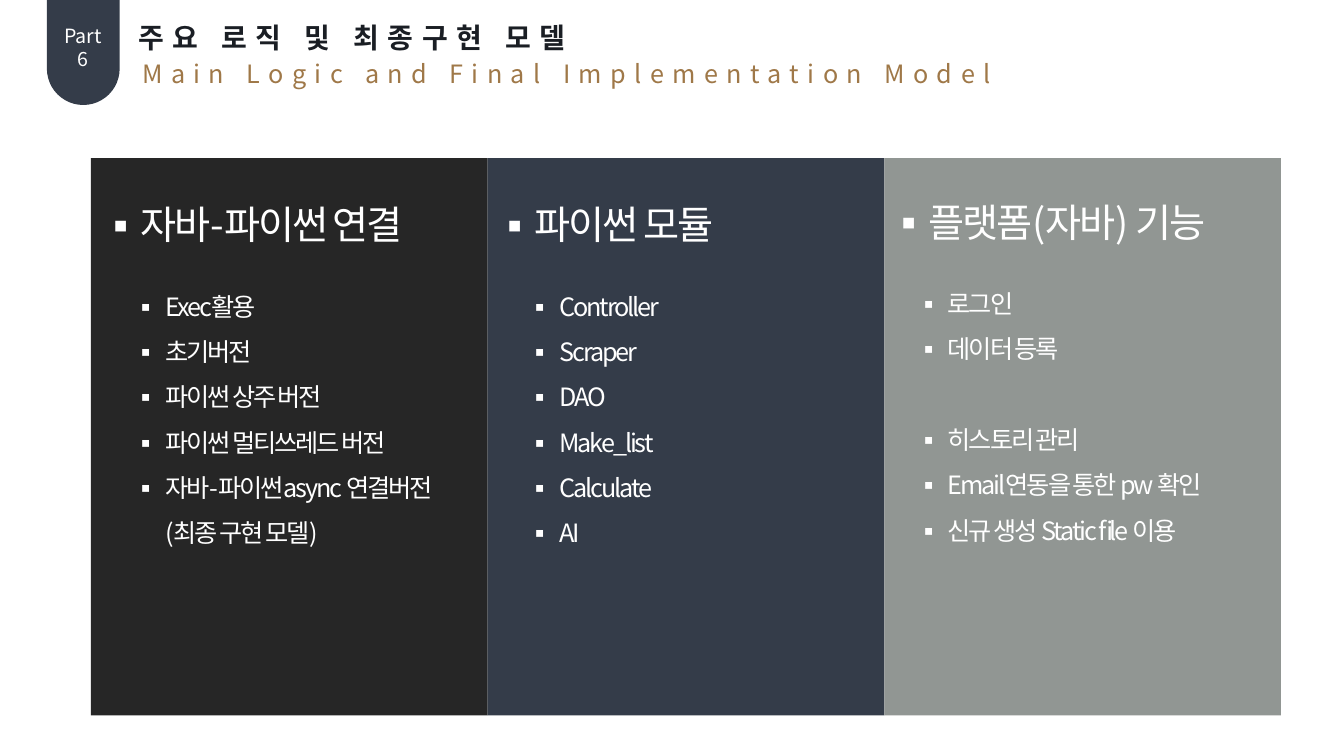
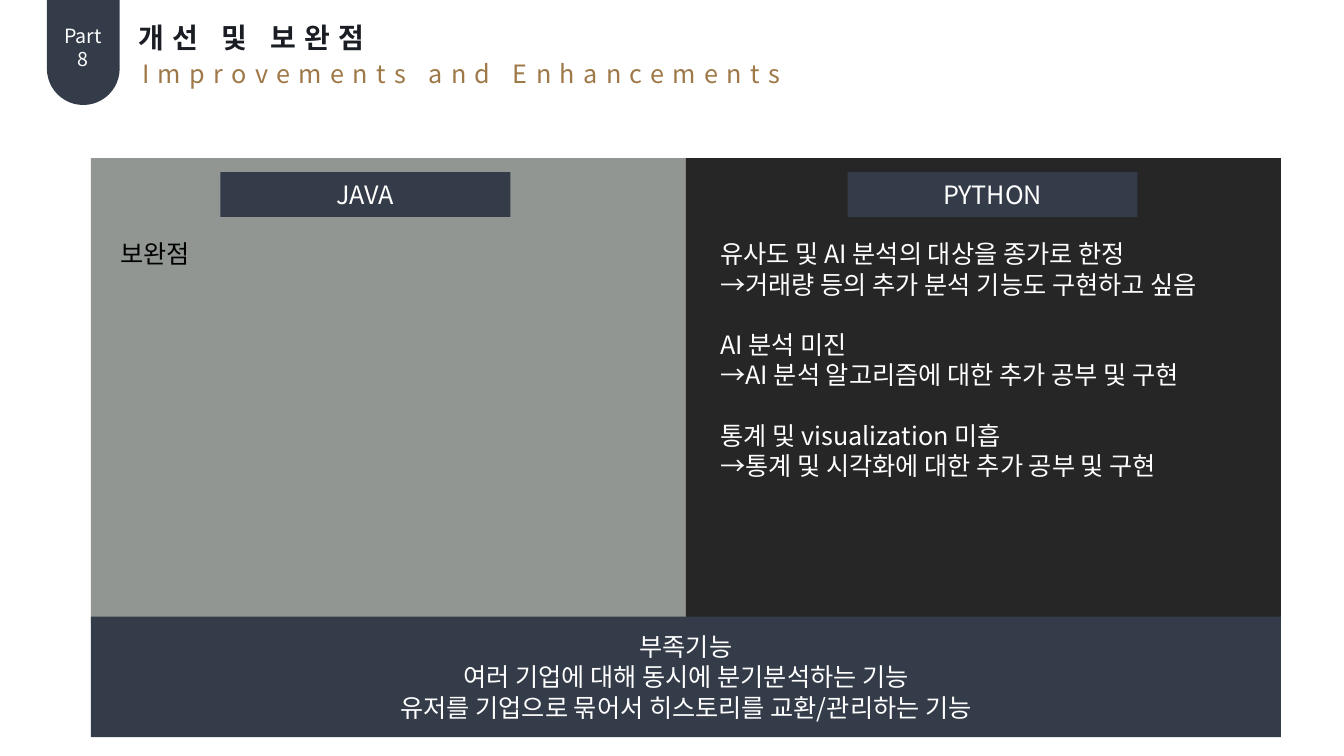
from dataclasses import dataclass

import pptx
import pptx.dml.color
import pptx.enum.shapes
import pptx.enum.text
import pptx.oxml.ns
import pptx.util
from lxml import etree

Pt = pptx.util.Pt
SHAPE = pptx.enum.shapes.MSO_SHAPE
ALIGN = pptx.enum.text.PP_ALIGN
ANCHOR = pptx.enum.text.MSO_ANCHOR
qn = pptx.oxml.ns.qn


@dataclass(frozen=True)
class Theme:
    font: str = "Noto Sans CJK KR"
    ink: str = "1A1E24"
    gold: str = "9F7848"
    navy: str = "343C49"
    charcoal: str = "262626"
    grey: str = "919693"
    white: str = "FFFFFF"
    black: str = "000000"
    label_size: int = 14
    body_size: int = 18
    title_size: int = 20
    heading_size: int = 28
    wide_spacing: float = 6
    tight_spacing: float = -1.5


@dataclass(frozen=True)
class Column:
    fill: str
    heading: str
    items: tuple
    items_left: float
    lift: float = 0
    group_start: int = 0


THEME = Theme()
SLIDE_SIZE = (960, 540)
CONTENT_LEFT, CONTENT_TOP, CONTENT_WIDTH = 65, 113, 850

LOGIC_COLUMNS = (
    Column(THEME.charcoal, "자바-파이썬 연결",
           ("Exec활용", "초기버전", "파이썬 상주 버전", "파이썬 멀티쓰레드 버전",
            "자바-파이썬async 연결버전\v(최종 구현 모델)"), 88.5),
    Column(THEME.navy, "파이썬 모듈",
           ("Controller", "Scraper", "DAO", "Make_list", "Calculate", "AI"), 370),
    Column(THEME.grey, "플랫폼(자바) 기능",
           ("로그인", "데이터 등록", "히스토리 관리", "Email연동을 통한 pw 확인",
            "신규 생성 Static file 이용"), 647.5, lift=2, group_start=2),
)

PYTHON_NOTES = (
    "유사도 및 AI 분석의 대상을 종가로 한정",
    "→거래량 등의 추가 분석 기능도 구현하고 싶음",
    "AI 분석 미진",
    "→AI 분석 알고리즘에 대한 추가 공부 및 구현",
    "통계 및 visualization 미흡",
    "→통계 및 시각화에 대한 추가 공부 및 구현",
)

MISSING_FEATURES = (
    "부족기능",
    "여러 기업에 대해 동시에 분기분석하는 기능",
    "유저를 기업으로 묶어서 히스토리를 교환/관리하는 기능",
)


def write(frame, lines, size, color, align=ALIGN.LEFT, bold=False, spacing=0):
    """Fill a text frame with one formatted paragraph per line."""
    frame.word_wrap = True
    frame.text = "\n".join(lines)
    for paragraph in frame.paragraphs:
        paragraph.alignment = align
        for run in paragraph.runs:
            font = run.font
            font.size, font.bold, font.name = Pt(size), bold, THEME.font
            font.color.rgb = pptx.dml.color.RGBColor.from_string(color)
            properties = run._r.get_or_add_rPr()
            etree.SubElement(properties, qn("a:ea"), typeface=THEME.font)
            if spacing:
                properties.set("spc", str(round(spacing * 100)))


def add_text(slide, box, lines, size, color, **style):
    frame = slide.shapes.add_textbox(*map(Pt, box)).text_frame
    write(frame, lines, size, color, **style)
    return frame


def add_panel(slide, box, fill, lines=(), kind=SHAPE.RECTANGLE, size=THEME.body_size):
    panel = slide.shapes.add_shape(kind, *map(Pt, box))
    panel.shadow.inherit = False
    panel.fill.solid()
    panel.fill.fore_color.rgb = pptx.dml.color.RGBColor.from_string(fill)
    panel.line.fill.background()
    if lines:
        panel.text_frame.vertical_anchor = ANCHOR.MIDDLE
        write(panel.text_frame, lines, size, THEME.white, align=ALIGN.CENTER)
    return panel


def add_bullets(slide, box, lines, size):
    frame = add_text(slide, box, lines, size, THEME.white, spacing=THEME.tight_spacing)
    for paragraph in frame.paragraphs:
        paragraph.line_spacing = 1.5
        properties = paragraph._p.get_or_add_pPr()
        indent = Pt(22.5)
        properties.set("marL", str(indent))
        properties.set("indent", str(-indent))
        etree.SubElement(properties, qn("a:buFont"), typeface=THEME.font)
        etree.SubElement(properties, qn("a:buChar"), char="▪")
    return frame


def add_part_slide(deck, part, title, subtitle):
    """Add a slide with the part tab, title and subtitle."""
    slide = deck.slides.add_slide(deck.slide_layouts[5])

    heading = slide.shapes.title
    heading.left, heading.top, heading.width, heading.height = map(Pt, (91.5, 11, 800, 32))
    heading.text_frame.vertical_anchor = ANCHOR.TOP
    write(heading.text_frame, [title], THEME.title_size, THEME.ink,
          bold=True, spacing=THEME.wide_spacing)

    tab = add_panel(slide, (33.5, 0, 52, 75), THEME.navy, [part],
                    SHAPE.ROUND_2_SAME_RECTANGLE, THEME.label_size)
    tab.adjustments[0], tab.adjustments[1] = 0, 0.5
    frame = tab.text_frame
    frame.vertical_anchor = ANCHOR.TOP
    frame.margin_left = frame.margin_right = frame.margin_bottom = 0
    frame.margin_top = Pt(17)

    add_text(slide, (94.5, 38, 800, 29), [subtitle], THEME.body_size, THEME.gold,
             spacing=THEME.wide_spacing)
    return slide


def build_logic_slide(deck):
    slide = add_part_slide(deck, "Part 6", "주요 로직 및 최종구현 모델",
                           "Main Logic and Final Implementation Model")
    width = CONTENT_WIDTH / len(LOGIC_COLUMNS)
    for index, column in enumerate(LOGIC_COLUMNS):
        add_panel(slide, (CONTENT_LEFT + index * width, CONTENT_TOP, width, 398), column.fill)
    for index, column in enumerate(LOGIC_COLUMNS):
        add_bullets(slide, (65.5 + index * 281.5, 123 - column.lift, 280, 52),
                    [column.heading], THEME.heading_size)
        items = add_bullets(slide, (column.items_left, 193.5 - column.lift, 243, 204),
                            column.items, THEME.body_size)
        if column.group_start:
            items.paragraphs[column.group_start].space_before = Pt(32.4)


def build_improvements_slide(deck):
    slide = add_part_slide(deck, "Part 8", "개선 및 보완점", "Improvements and Enhancements")
    width = CONTENT_WIDTH / 2
    languages = (
        ("JAVA", THEME.grey, 157.5, 79, ["보완점"], THEME.black),
        ("PYTHON", THEME.charcoal, 605.5, 507.5, PYTHON_NOTES, THEME.white),
    )
    for index, (name, fill, name_left, notes_left, notes, color) in enumerate(languages):
        add_panel(slide, (CONTENT_LEFT + index * width, CONTENT_TOP, width, 332), fill)
        add_panel(slide, (name_left, 123, 207, 32), THEME.navy, [name])
        frame = add_text(slide, (notes_left, 167, 395, 181), notes, THEME.body_size, color)
        for topic in frame.paragraphs[2::2]:
            topic.space_before = Pt(21.6)
    add_panel(slide, (CONTENT_LEFT, 440.5, CONTENT_WIDTH, 86), THEME.navy, MISSING_FEATURES)


def main():
    deck = pptx.Presentation()
    deck.slide_width, deck.slide_height = map(Pt, SLIDE_SIZE)
    build_logic_slide(deck)
    build_improvements_slide(deck)
    deck.save("out.pptx")


if __name__ == "__main__":
    main()
